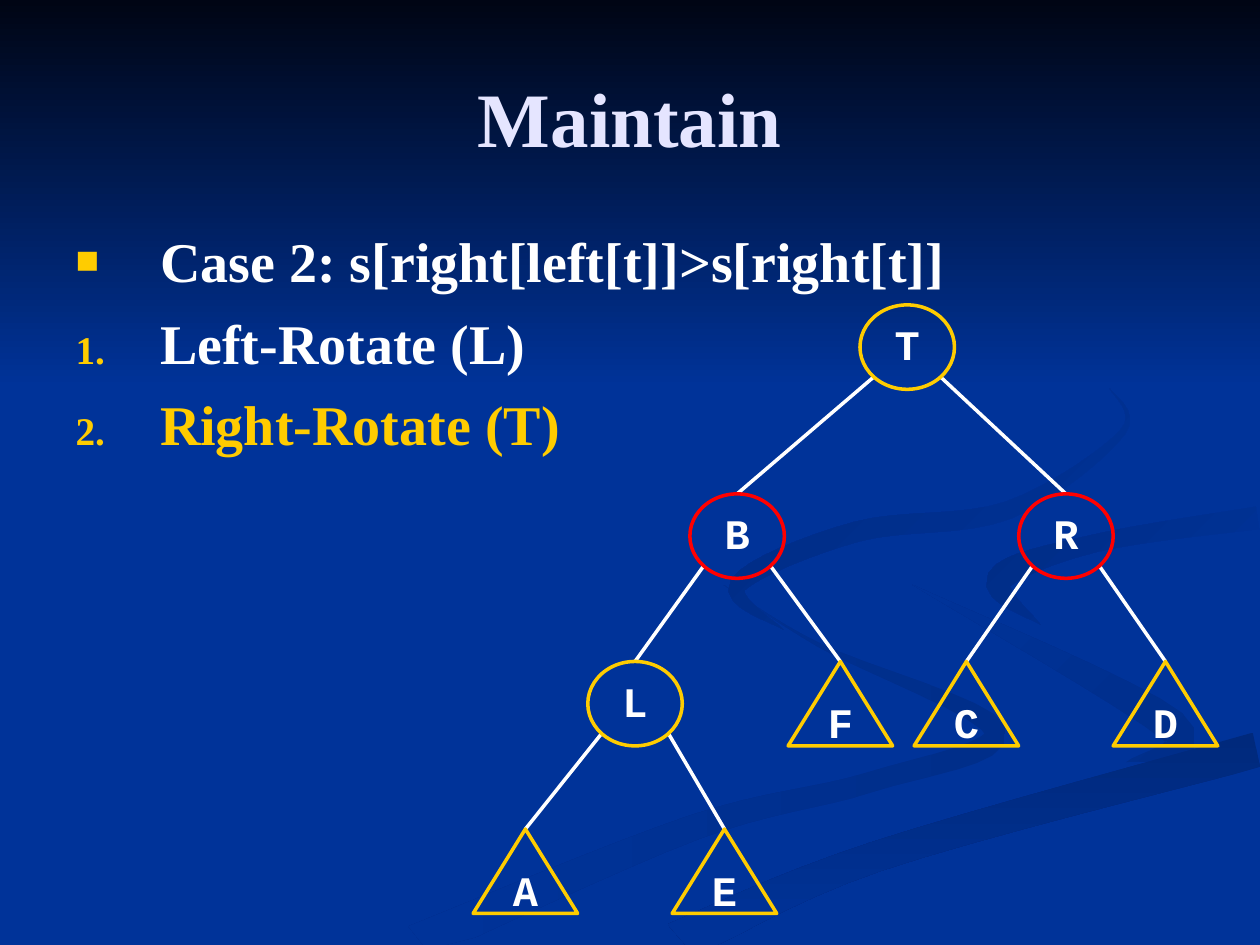
import math

from lxml import etree
from pptx import Presentation
from pptx import util as u
from pptx.dml.color import RGBColor
from pptx.enum import shapes, text
from pptx.oxml import ns

COLORS = {
    "background": "003399", "night": "000514", "title": "E5E5FF",
    "white": "FFFFFF", "gold": "FFCC00", "red": "FF0000",
    "shade": "002E8A", "deep": "00297C", "dusk": "002C85", "curl": "002B81",
}

# Start colour, end colour, clockwise angle, centre line as (x, y, thickness) in inches
RIBBONS = [
    ("shade", "background", 180, [
        (5.74, 4.64, 0), (6.5, 5.12, 0.03), (7.9, 5.8, 0.17), (6.9, 6.21, 0.16),
        (5.5, 6.57, 0.2), (3.3, 7.49, 0.3)]),
    ("shade", "background", 225, [(7.24, 4.64, 0), (9.3, 5.76, 0.26), (8.94, 6.05, 0)]),
    ("deep", "background", 90, [(5.37, 7.49, 0.34), (6.95, 6.8, 0.24), (9.98, 5.95, 0.28)]),
    ("background", "dusk", 225, [
        (9.98, 4.11, 0.18), (8.7, 4.31, 0.14), (7.93, 4.6, 0.2), (8.26, 4.96, 0)]),
    ("background", "curl", 225, [
        (8.8, 3.07, 0), (8.91, 3.43, 0.05), (8, 4.05, 0.14), (6.8, 4.22, 0.16),
        (5.86, 4.64, 0.14), (6.22, 5, 0)]),
]
CURVE_STEPS = 8

ROW_TOPS = [2.42, 3.92, 5.25, 6.58]
NODE_HEIGHT = 0.67
CIRCLE_WIDTH, TRIANGLE_WIDTH = 0.75, 0.83

# label: (centre x, row, outline, parent); a node without children is a triangle
TREE = {
    "T": (7.2, 0, "gold", None),
    "B": (5.85, 1, "red", "T"),
    "R": (8.46, 1, "red", "T"),
    "L": (5.04, 2, "gold", "B"),
    "F": (6.67, 2, "gold", "B"),
    "C": (7.67, 2, "gold", "R"),
    "D": (9.25, 2, "gold", "R"),
    "A": (4.17, 3, "gold", "L"),
    "E": (5.75, 3, "gold", "L"),
}


def rgb(name):
    return RGBColor.from_string(COLORS[name])


def set_font(paragraph, face, size, color):
    font = paragraph.font
    font.name, font.size, font.bold = face, u.Pt(size), True
    font.color.rgb = rgb(color)


def smooth_line(stations):
    """Run a Catmull-Rom curve through the stations."""
    padded = [stations[0], *stations, stations[-1]]
    curve = []
    for i in range(len(stations) - 1):
        for step in range(CURVE_STEPS):
            t = step / CURVE_STEPS
            curve.append([
                (2 * b + (c - a) * t + (2 * a - 5 * b + 4 * c - d) * t**2
                 + (3 * b - a - 3 * c + d) * t**3) / 2
                for a, b, c, d in zip(*padded[i:i + 4])])
    return curve + [stations[-1]]


def ribbon_outline(stations):
    """Offset the smoothed centre line to both sides, kept on the slide."""
    curve = smooth_line(stations)
    sides = [], []
    for i, (x, y, thickness) in enumerate(curve):
        before, after = curve[max(i - 1, 0)], curve[min(i + 1, len(curve) - 1)]
        angle = math.atan2(after[1] - before[1], after[0] - before[0])
        for side, sign in zip(sides, (1, -1)):
            offset = sign * max(thickness, 0) / 2
            side.append((min(x - offset * math.sin(angle), 10),
                         min(y + offset * math.cos(angle), 7.5)))
    return sides[0] + sides[1][::-1]


def shade(shape, start, end, angle):
    shape.shadow.inherit = False
    shape.line.fill.background()
    shape.fill.gradient()
    shape.fill.gradient_angle = 360 - angle
    for stop, color in zip(shape.fill.gradient_stops, (start, end)):
        stop.color.rgb = rgb(color)


def add_ribbon(slide, start, end, angle, stations):
    outline = [(u.Inches(x), u.Inches(y)) for x, y in ribbon_outline(stations)]
    builder = slide.shapes.build_freeform(*outline[0])
    builder.add_line_segments(outline[1:], close=True)
    shade(builder.convert_to_shape(), start, end, angle)


def add_night_sky(slide):
    sky = slide.shapes.add_shape(
        shapes.MSO_SHAPE.RECTANGLE, 0, 0, u.Inches(10), u.Inches(3.08))
    shade(sky, "night", "background", 90)


def place(slide, placeholder, left, top, width, height):
    """Position a placeholder in front of everything drawn so far."""
    placeholder.left, placeholder.top = u.Inches(left), u.Inches(top)
    placeholder.width, placeholder.height = u.Inches(width), u.Inches(height)
    placeholder.text_frame.auto_size = text.MSO_AUTO_SIZE.NONE
    slide.shapes.element.append(placeholder.element)


def add_title(slide, wording):
    title = slide.shapes.title
    place(slide, title, 0.5, 0.3, 9, 1.25)
    title.text_frame.text = wording
    title.text_frame.vertical_anchor = text.MSO_ANCHOR.MIDDLE
    heading = title.text_frame.paragraphs[0]
    heading.alignment = text.PP_ALIGN.CENTER
    set_font(heading, "Times New Roman", 44, "title")


def set_bullet(paragraph, tag, **attributes):
    properties = paragraph._p.get_or_add_pPr()
    properties.set("marL", str(u.Inches(0.67)))
    properties.set("indent", str(-u.Inches(0.67)))
    bullet_color = etree.SubElement(properties, ns.qn("a:buClr"))
    etree.SubElement(bullet_color, ns.qn("a:srgbClr"), val=COLORS["gold"])
    etree.SubElement(properties, ns.qn("a:buSzPct"), val="70000")
    etree.SubElement(properties, ns.qn("a:buFont"), typeface="Times New Roman")
    etree.SubElement(properties, ns.qn(tag), **attributes)


def add_steps(slide, steps):
    body = slide.placeholders[1]
    place(slide, body, 0.5, 1.75, 9, 4.95)
    body.text_frame.text = "\n".join(wording for wording, _, _ in steps)
    for paragraph, (_, color, numbered) in zip(body.text_frame.paragraphs, steps):
        if numbered:
            set_bullet(paragraph, "a:buAutoNum", type="arabicPeriod")
        else:
            set_bullet(paragraph, "a:buChar", char="■")
        paragraph.space_before = u.Pt(8)
        set_font(paragraph, "Times New Roman", 32, color)


def add_edge(slide, parent, child):
    """Join the lower diagonal of the parent's circle to the top of the child."""
    parent_x, parent_row = TREE[parent][:2]
    child_x, child_row = TREE[child][:2]
    diagonal = math.sqrt(0.5)
    start_x = parent_x + math.copysign(diagonal, child_x - parent_x) * CIRCLE_WIDTH / 2
    start_y = ROW_TOPS[parent_row] + (1 + diagonal) * NODE_HEIGHT / 2
    ends = (start_x, start_y, child_x, ROW_TOPS[child_row])
    edge = slide.shapes.add_connector(shapes.MSO_CONNECTOR.STRAIGHT, *map(u.Inches, ends))
    edge.line.color.rgb = rgb("white")
    edge.line.width = u.Pt(2)
    etree.SubElement(edge.element.spPr, ns.qn("a:effectLst"))


def add_node(slide, label, center, row, outline, is_leaf):
    kind = shapes.MSO_SHAPE.ISOSCELES_TRIANGLE if is_leaf else shapes.MSO_SHAPE.OVAL
    width = TRIANGLE_WIDTH if is_leaf else CIRCLE_WIDTH
    box = (center - width / 2, ROW_TOPS[row], width, NODE_HEIGHT)
    node = slide.shapes.add_shape(kind, *map(u.Inches, box))
    node.shadow.inherit = False
    node.fill.background()
    node.line.color.rgb = rgb(outline)
    node.line.width = u.Pt(2)
    frame = node.text_frame
    frame.text = label
    frame.word_wrap = False
    frame.vertical_anchor = text.MSO_ANCHOR.MIDDLE
    name = frame.paragraphs[0]
    name.alignment = text.PP_ALIGN.CENTER
    name.line_spacing, name.space_before = 0.9, u.Pt(6)
    set_font(name, "Courier New", 24, "white")


def main():
    deck = Presentation()
    deck.slide_width, deck.slide_height = u.Inches(10), u.Inches(7.5)
    slide = deck.slides.add_slide(deck.slide_layouts[1])
    # Background
    slide.background.fill.solid()
    slide.background.fill.fore_color.rgb = rgb("background")
    for ribbon in RIBBONS:
        add_ribbon(slide, *ribbon)
    add_night_sky(slide)
    # Title and rotation steps
    add_title(slide, "Maintain")
    add_steps(slide, [
        ("Case 2: s[right[left[t]]>s[right[t]]", "white", False),
        ("Left-Rotate (L)", "white", True),
        ("Right-Rotate (T)", "gold", True),
    ])
    # Tree: edges first, nodes over them
    parents = {parent for _, _, _, parent in TREE.values()}
    for label, (_, _, _, parent) in TREE.items():
        if parent:
            add_edge(slide, parent, label)
    for label, (center, row, outline, _) in TREE.items():
        add_node(slide, label, center, row, outline, label not in parents)
    deck.save("out.pptx")


if __name__ == "__main__":
    main()
